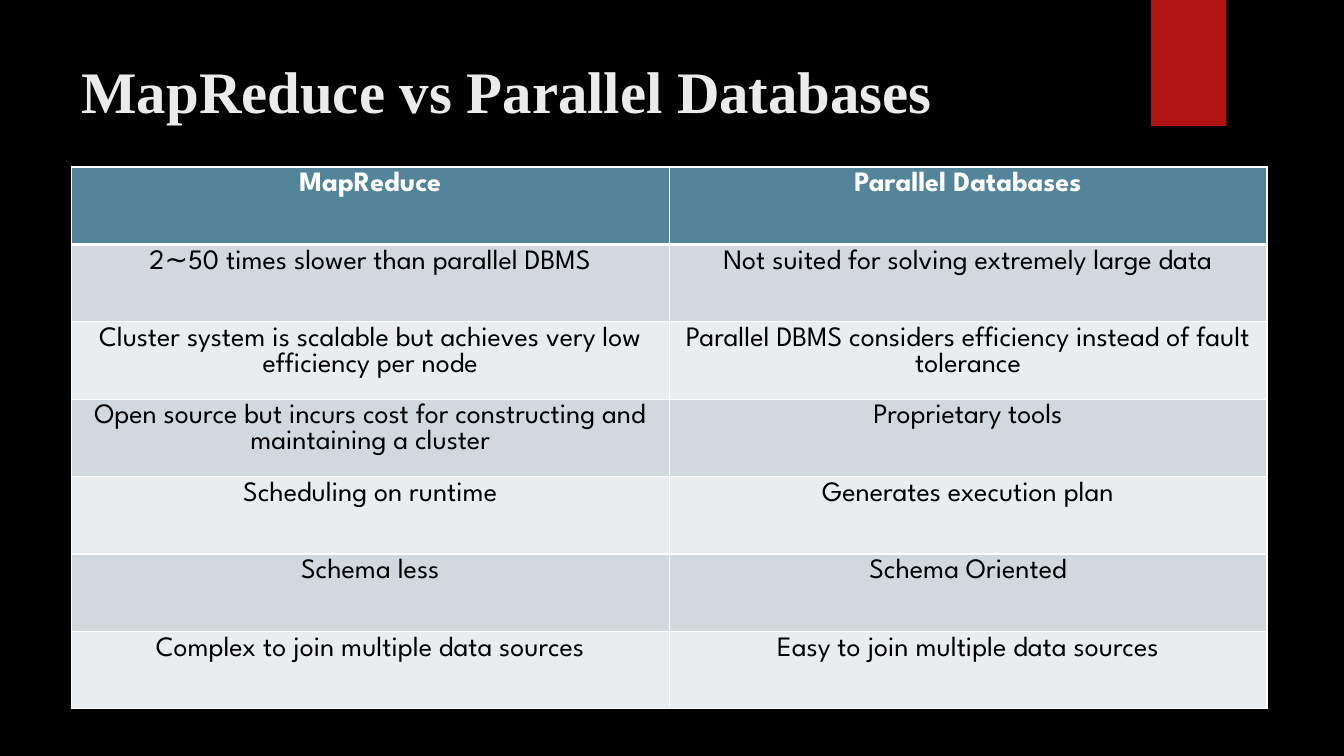
"""Builds a slide that compares MapReduce with parallel databases."""
from dataclasses import dataclass

from lxml.etree import SubElement
from pptx import Presentation
from pptx.dml.color import RGBColor
from pptx.enum.shapes import MSO_SHAPE
from pptx.enum.text import MSO_ANCHOR, MSO_AUTO_SIZE, PP_ALIGN
from pptx.oxml.ns import qn
from pptx.util import Pt


@dataclass(frozen=True)
class Theme:
    """Holds the colours, fonts and type sizes."""
    background: str = "000000"
    accent: str = "B01513"
    title_color: str = "EBEBEB"
    header_fill: str = "54849A"
    header_color: str = "FFFFFF"
    body_color: str = "000000"
    band_fills: tuple = ("D1D9DE", "E9EDEF")
    border: str = "FFFFFF"
    title_font: str = "Times New Roman"
    table_font: str = "League Spartan"
    title_size: int = 42
    table_size: int = 20


def write_text(frame, text, *, font, size, color, bold=False, align=PP_ALIGN.LEFT):
    """Writes one formatted paragraph into a text frame."""
    para = frame.paragraphs[0]
    para.alignment = align
    span = para.add_run()
    span.text = text
    span.font.name = font
    span.font.size = Pt(size)
    span.font.bold = bold
    span.font.color.rgb = RGBColor.from_string(color)


def paint(fill, color):
    """Gives a fill one solid colour."""
    fill.solid()
    fill.fore_color.rgb = RGBColor.from_string(color)


def draw_borders(cell, color, bottom):
    """Draws the four borders of a table cell, with its own bottom width."""
    properties = cell._tc.get_or_add_tcPr()
    widths = {"a:lnL": 1, "a:lnR": 1, "a:lnT": 1, "a:lnB": bottom}
    for index, (tag, width) in enumerate(widths.items()):
        line = SubElement(properties, qn(tag), w=str(Pt(width)))
        properties.insert(index, line)
        SubElement(SubElement(line, qn("a:solidFill")), qn("a:srgbClr"), val=color)


class SlideBuilder:
    """Draws elements on the current slide in one style."""

    def __init__(self, deck, theme):
        """Adds a title-only page with the theme's background."""
        self.theme = theme
        self.page = deck.slides.add_slide(deck.slide_layouts[5])
        paint(self.page.background.fill, theme.background)

    def ribbon(self, left, top, width, height):
        """Draws the accent block at the slide's edge."""
        box = self.page.shapes.add_shape(
            MSO_SHAPE.RECTANGLE, Pt(left), Pt(top), Pt(width), Pt(height))
        box.shadow.inherit = False
        paint(box.fill, self.theme.accent)
        box.line.fill.background()

    def title(self, text, left, top, width, height):
        """Places and fills the title placeholder."""
        box = self.page.shapes.title
        box.left, box.top, box.width, box.height = map(Pt, (left, top, width, height))
        frame = box.text_frame
        frame.word_wrap = True
        frame.auto_size = MSO_AUTO_SIZE.NONE
        frame.vertical_anchor = MSO_ANCHOR.TOP
        write_text(frame, text, font=self.theme.title_font, size=self.theme.title_size,
                   color=self.theme.title_color, bold=True)

    def table(self, rows, left, top, width, height):
        """Draws a table with a header row and banded body rows."""
        theme = self.theme
        grid = self.page.shapes.add_table(
            len(rows), len(rows[0]), Pt(left), Pt(top), Pt(width), Pt(height)).table
        for row_index, row in enumerate(rows):
            header = row_index == 0
            fill = theme.header_fill if header else theme.band_fills[(row_index - 1) % 2]
            for column_index, text in enumerate(row):
                cell = grid.cell(row_index, column_index)
                paint(cell.fill, fill)
                draw_borders(cell, theme.border, bottom=3 if header else 1)
                write_text(cell.text_frame, text, font=theme.table_font,
                           size=theme.table_size, bold=header, align=PP_ALIGN.CENTER,
                           color=theme.header_color if header else theme.body_color)


COMPARISON = [
    ("MapReduce", "Parallel Databases"),
    ("2∼50 times slower than parallel DBMS",
     "Not suited for solving extremely large data"),
    ("Cluster system is scalable but achieves very low efficiency per node",
     "Parallel DBMS considers efficiency instead of fault tolerance"),
    ("Open source but incurs cost for constructing and maintaining a cluster",
     "Proprietary tools"),
    ("Scheduling on runtime", "Generates execution plan"),
    ("Schema less", "Schema Oriented"),
    ("Complex to join multiple data sources", "Easy to join multiple data sources"),
]


def main():
    """Builds and saves the deck."""
    deck = Presentation()
    deck.slide_width, deck.slide_height = Pt(960), Pt(540)
    builder = SlideBuilder(deck, Theme())
    builder.ribbon(822, 0, 54, 90)
    builder.title("MapReduce vs Parallel Databases", 51, 35.5, 741, 110)
    builder.table(COMPARISON, 51, 119.3, 854, 387)
    deck.save("out.pptx")


if __name__ == "__main__":
    main()
